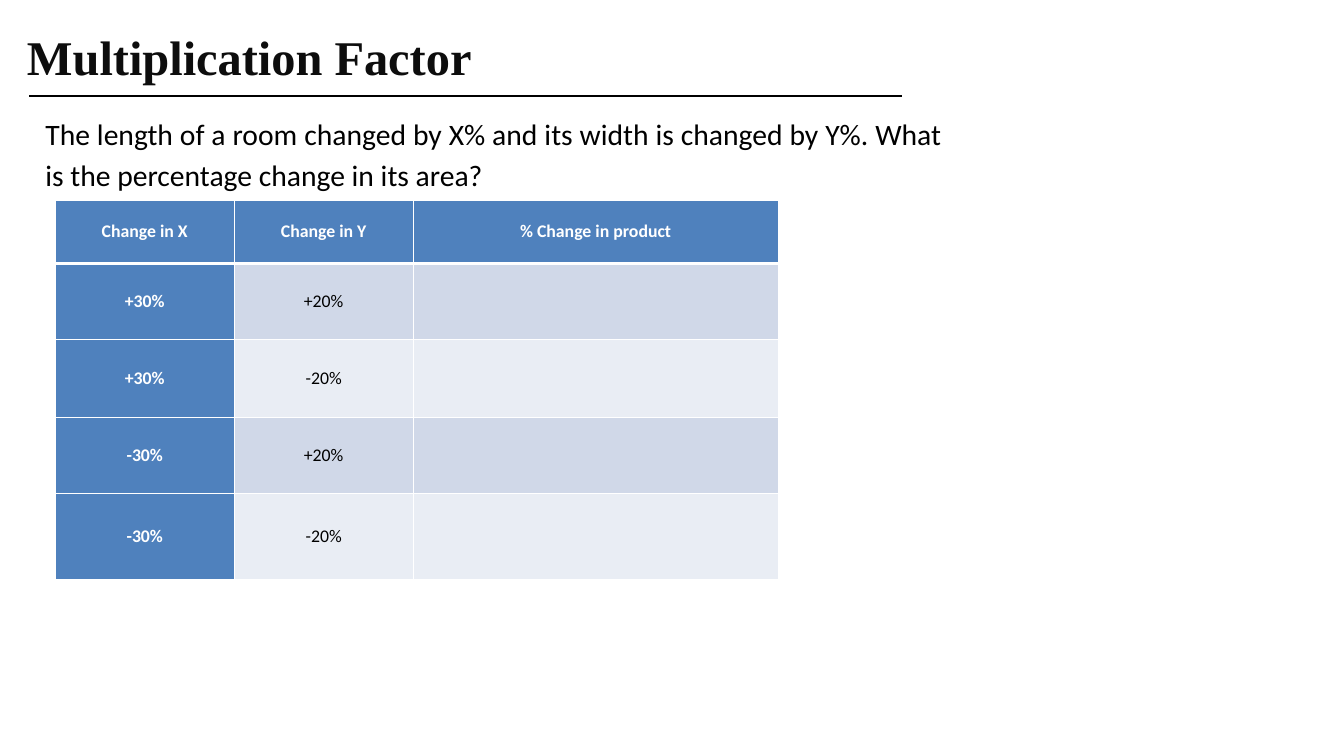
from lxml import etree
from pptx import Presentation
from pptx.dml.color import RGBColor
from pptx.enum.shapes import MSO_CONNECTOR
from pptx.enum.text import MSO_ANCHOR, MSO_AUTO_SIZE, PP_ALIGN
from pptx.oxml.ns import qn
from pptx.util import Cm, Pt

LEFT, CENTER, JUSTIFY = PP_ALIGN.LEFT, PP_ALIGN.CENTER, PP_ALIGN.JUSTIFY
TOP, MIDDLE, BOTTOM = MSO_ANCHOR.TOP, MSO_ANCHOR.MIDDLE, MSO_ANCHOR.BOTTOM
STRAIGHT = MSO_CONNECTOR.STRAIGHT
NO_FIT = MSO_AUTO_SIZE.NONE
TITLE_ONLY = 5

COLORS = {
    "ink": "0D0D0D",
    "black": "000000",
    "white": "FFFFFF",
    "head": "4F81BD",
    "dark": "D0D8E8",
    "light": "E9EDF4",
}
HEADS = ["Change in X", "Change in Y", "% Change in product"]
CASES = [(x, y, "") for x in ("+30%", "-30%") for y in ("+20%", "-20%")]


class Page:
    """Draw styled elements on one slide."""

    def __init__(self, slide):
        self.slide = slide
        self.serif = "Times New Roman"
        self.sans = "Calibri"

    def color(self, name):
        return RGBColor.from_string(COLORS[name])

    def style(self, para, face, size, color, bold, align):
        para.alignment = align
        for run in para.runs:
            run.font.name = face
            run.font.size = Pt(size)
            run.font.bold = bold
            run.font.color.rgb = self.color(color)

    def title(self, text, left, top, width, height):
        shape = self.slide.shapes.title
        shape.left, shape.top = Cm(left), Cm(top)
        shape.width, shape.height = Cm(width), Cm(height)
        frame = shape.text_frame
        frame.text = text
        frame.auto_size = NO_FIT
        frame.vertical_anchor = BOTTOM
        self.style(frame.paragraphs[0], self.serif, 49, "ink", True, LEFT)

    def rule(self, left, top, width):
        line = self.slide.shapes.add_connector(
            STRAIGHT, Cm(left), Cm(top), Cm(left + width), Cm(top))
        line.line.color.rgb = self.color("black")
        line.line.width = Pt(1.5)
        etree.SubElement(line._element.spPr, qn("a:effectLst"))

    def text(self, text, left, top, width, height):
        box = self.slide.shapes.add_textbox(
            Cm(left), Cm(top), Cm(width), Cm(height))
        frame = box.text_frame
        frame.word_wrap = True
        frame.vertical_anchor = TOP
        frame.text = text
        para = frame.paragraphs[0]
        para.line_spacing = 1.15
        self.style(para, self.sans, 30, "black", False, JUSTIFY)

    def border(self, cell, side, width):
        props = cell._tc.get_or_add_tcPr()
        line = etree.SubElement(props, qn("a:" + side), w=str(Pt(width)))
        fill = etree.SubElement(line, qn("a:solidFill"))
        etree.SubElement(fill, qn("a:srgbClr"), val=COLORS["white"])

    def cell(self, cell, text, row, col):
        first = row == 0 or col == 0
        cell.margin_left = cell.margin_right = Cm(0.18)
        cell.margin_top = cell.margin_bottom = 0
        cell.vertical_anchor = MIDDLE
        widths = {"lnL": 1, "lnR": 1,
                  "lnT": 3 if row == 1 else 1,
                  "lnB": 3 if row == 0 else 1}
        for side, width in widths.items():
            self.border(cell, side, width)
        band = "dark" if row % 2 else "light"
        cell.fill.solid()
        cell.fill.fore_color.rgb = self.color("head" if first else band)
        cell.text_frame.text = text
        self.style(cell.text_frame.paragraphs[0], self.sans, 18,
                   "white" if first else "black", first, CENTER)

    def table(self, rows, left, top, widths, heights):
        grid = self.slide.shapes.add_table(
            len(rows), len(widths), Cm(left), Cm(top),
            Cm(sum(widths)), Cm(sum(heights))).table
        for col, width in zip(grid.columns, widths):
            col.width = Cm(width)
        for line, height in zip(grid.rows, heights):
            line.height = Cm(height)
        for row, texts in enumerate(rows):
            for col, text in enumerate(texts):
                self.cell(grid.cell(row, col), text, row, col)


def main():
    deck = Presentation()
    deck.slide_width, deck.slide_height = Cm(48), Cm(27)
    page = Page(deck.slides.add_slide(deck.slide_layouts[TITLE_ONLY]))
    page.title("Multiplication Factor", 0.71, 0.81, 28.58, 2.36)
    page.rule(1.04, 3.43, 31.17)
    page.text("The length of a room changed by X% and its width is changed "
              "by Y%. What is the percentage change in its area?",
              1.37, 3.84, 32.54, 3.23)
    page.table([HEADS] + CASES, 1.98, 7.16,
               [6.38, 6.4, 13.03], [2.24, 2.72, 2.79, 2.72, 3.05])
    deck.save("out.pptx")


if __name__ == "__main__":
    main()
